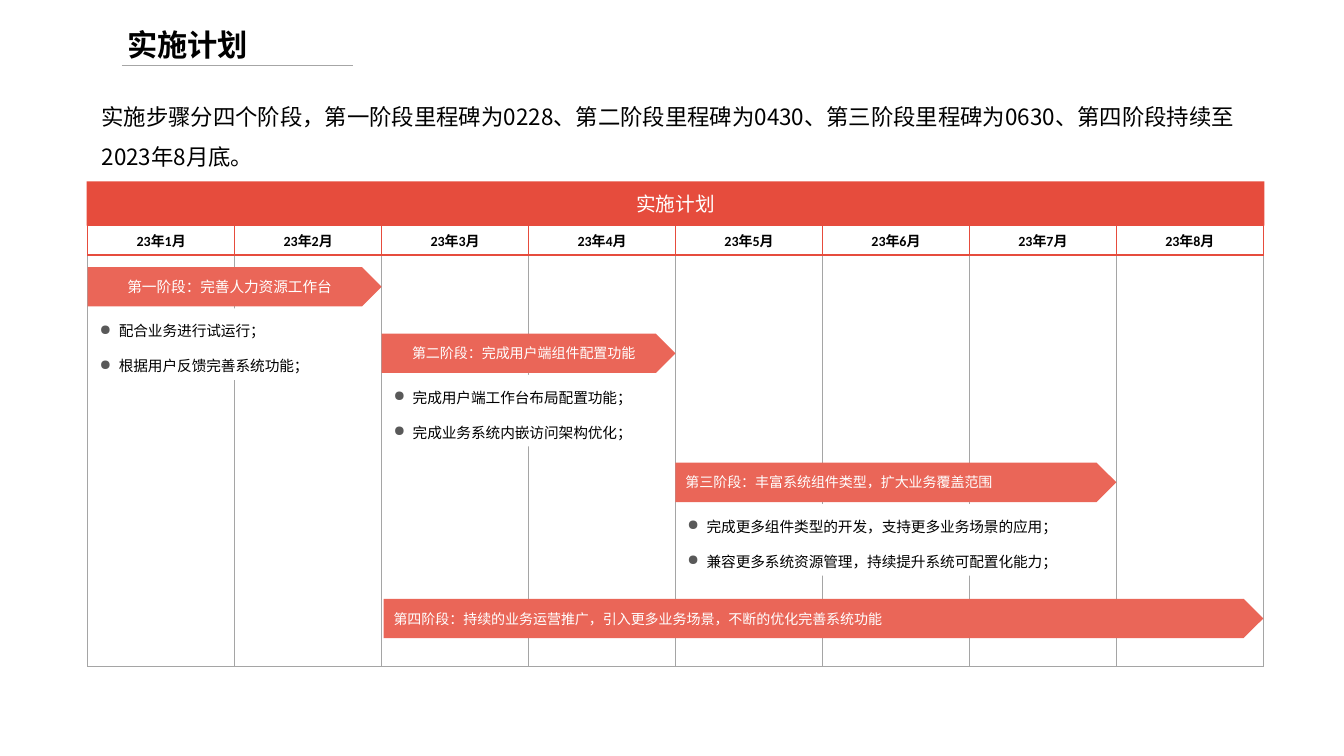
from lxml import etree
from pptx import Presentation
from pptx.dml.color import RGBColor
from pptx.enum import shapes, text
from pptx.oxml import ns
from pptx.util import Inches, Pt

# Content
TITLE = "实施计划"
INTRO = ("实施步骤分四个阶段，第一阶段里程碑为0228、第二阶段里程碑为0430、"
         "第三阶段里程碑为0630、第四阶段持续至2023年8月底。")
MONTHS = [f"23年{n}月" for n in range(1, 9)]
# label, first column, columns spanned, inset, top, size, centred, note width, notes
STAGES = [
    ("第一阶段：完善人力资源工作台", 0, 2, 0, 2.65, 10.5, True, 2.23,
     ["配合业务进行试运行；", "根据用户反馈完善系统功能；"]),
    ("第二阶段：完成用户端组件配置功能", 2, 2, 0, 3.31, 10, True, 2.84,
     ["完成用户端工作台布局配置功能；", "完成业务系统内嵌访问架构优化；"]),
    ("第三阶段：丰富系统组件类型，扩大业务覆盖范围", 4, 3, 0, 4.59, 10, False, 4.26,
     ["完成更多组件类型的开发，支持更多业务场景的应用；",
      "兼容更多系统资源管理，持续提升系统可配置化能力；"]),
    ("第四阶段：持续的业务运营推广，引入更多业务场景，不断的优化完善系统功能",
     2, 6, 0.02, 5.94, 10, False, 0, []),
]
COLORS = {"red": "E64C3D", "bar": "EA6658", "grid": "A5A5A5", "rule": "A6A6A6",
          "dot": "595959", "black": "000000", "white": "FFFFFF"}
SANS = "Noto Sans CJK SC"
LEFT, WIDE = 0.87, 11.66
COL = WIDE / len(MONTHS)


def rgb(name):
    return RGBColor.from_string(COLORS[name])


def add(parent, tag, **attrs):
    return etree.SubElement(parent, ns.qn(tag), attrs)


def style(para, size, color, bold=False, face=SANS):
    for run in para.runs:
        font = run.font
        font.size, font.bold, font.name = Pt(size), bold, face
        font.color.rgb = rgb(color)
        add(run._r.get_or_add_rPr(), "a:ea", typeface=SANS)


def box(kind, x, y, w, h, fill):
    shape = slide.shapes.add_shape(kind, Inches(x), Inches(y), Inches(w), Inches(h))
    shape.shadow.inherit = False
    shape.fill.solid()
    shape.fill.fore_color.rgb = rgb(fill)
    shape.line.fill.background()
    return shape


def label(shape, words, size, centred):
    shape.text_frame.text = words
    shape.text_frame.vertical_anchor = text.MSO_ANCHOR.MIDDLE
    para = shape.text_frame.paragraphs[0]
    para.alignment = text.PP_ALIGN.CENTER if centred else text.PP_ALIGN.LEFT
    style(para, size, "white")


def border(cell, color, sides):
    props = cell._tc.get_or_add_tcPr()
    for i, side in enumerate("LRTB"):
        line = etree.Element(ns.qn(f"a:ln{side}"), w=str(Pt(1)))
        if side in sides:
            add(add(line, "a:solidFill"), "a:srgbClr", val=COLORS[color])
        else:
            add(line, "a:noFill")
        props.insert(i, line)


def table(y, rows):
    frame = slide.shapes.add_table(len(rows), len(MONTHS), Inches(LEFT), Inches(y),
                                   Inches(WIDE), Inches(sum(rows)))
    grid = frame.table
    grid.first_row = grid.horz_banding = False
    for col in grid.columns:
        col.width = Inches(COL)
    for row, high in zip(grid.rows, rows):
        row.height = Inches(high)
    for cell in grid.iter_cells():
        cell.fill.solid()
        cell.fill.fore_color.rgb = rgb("white")
    return grid


deck = Presentation()
deck.slide_width, deck.slide_height = Inches(13.33), Inches(7.5)
slide = deck.slides.add_slide(deck.slide_layouts[5])

# Title and its rule
title = slide.shapes.title
title.left, title.top, title.width, title.height = map(Inches, (1.16, 0.15, 3.12, 0.51))
frame = title.text_frame
frame.text = TITLE
frame.auto_size = text.MSO_AUTO_SIZE.NONE
frame.vertical_anchor = text.MSO_ANCHOR.MIDDLE
head = frame.paragraphs[0]
head.alignment, head.line_spacing = text.PP_ALIGN.LEFT, 1.2
style(head, 21.6, "black", True)
rule = slide.shapes.add_connector(shapes.MSO_CONNECTOR.STRAIGHT, Inches(1.21),
                                  Inches(0.65), Inches(3.5), Inches(0.65))
rule.line.color.rgb, rule.line.width = rgb("rule"), Pt(0.5)
add(rule._element.spPr, "a:effectLst")

# Introduction
intro = slide.shapes.add_textbox(Inches(0.91), Inches(0.84), Inches(11.79), Inches(0.91))
intro.text_frame.word_wrap = True
intro.text_frame.text = INTRO
intro.text_frame.auto_size = text.MSO_AUTO_SIZE.SHAPE_TO_FIT_TEXT
intro.text_frame.paragraphs[0].line_spacing = 1.5
style(intro.text_frame.paragraphs[0], 16, "black")

# Calendar: banner, grid and months
label(box(shapes.MSO_SHAPE.RECTANGLE, 0.86, 1.8, 11.68, 0.44, "red"), TITLE, 14, True)
body = table(2.53, [1.82, 1.82, 0.44])
for r, sides in enumerate(("LRT", "LR", "LRB")):
    for cell in body.rows[r].cells:
        border(cell, "grid", sides)
for cell, month in zip(table(2.24, [0.29]).iter_cells(), MONTHS):
    cell.text_frame.text = month
    cell.margin_top = cell.margin_bottom = Inches(0.03)
    cell.vertical_anchor = text.MSO_ANCHOR.MIDDLE
    cell.text_frame.paragraphs[0].alignment = text.PP_ALIGN.CENTER
    style(cell.text_frame.paragraphs[0], 10, "black", True, "Calibri")
    border(cell, "red", "LRTB")

# Stages: arrow bars with notes below
for words, first, span, inset, y, size, centred, wide, notes in STAGES:
    x = LEFT + first * COL + inset
    bar = box(shapes.MSO_SHAPE.PENTAGON, x, y, span * COL - inset, 0.39, "bar")
    label(bar, words, size, centred)
    if not notes:
        continue
    note = box(shapes.MSO_SHAPE.RECTANGLE, x + 0.02, y + 0.41, wide, 0.71, "white")
    frame = note.text_frame
    frame.text = "\n".join(notes)
    frame.vertical_anchor = text.MSO_ANCHOR.TOP
    frame.auto_size = text.MSO_AUTO_SIZE.SHAPE_TO_FIT_TEXT
    for i, para in enumerate(frame.paragraphs):
        para.alignment, para.line_spacing = text.PP_ALIGN.LEFT, 1.5
        if i:
            para.space_before = Pt(6)
        props = para._p.get_or_add_pPr()
        props.set("marL", str(Inches(0.19)))
        props.set("indent", str(-Inches(0.19)))
        add(add(props, "a:buClr"), "a:srgbClr", val=COLORS["dot"])
        add(props, "a:buChar", char="●")
        style(para, 10.5, "black")

deck.save("out.pptx")
